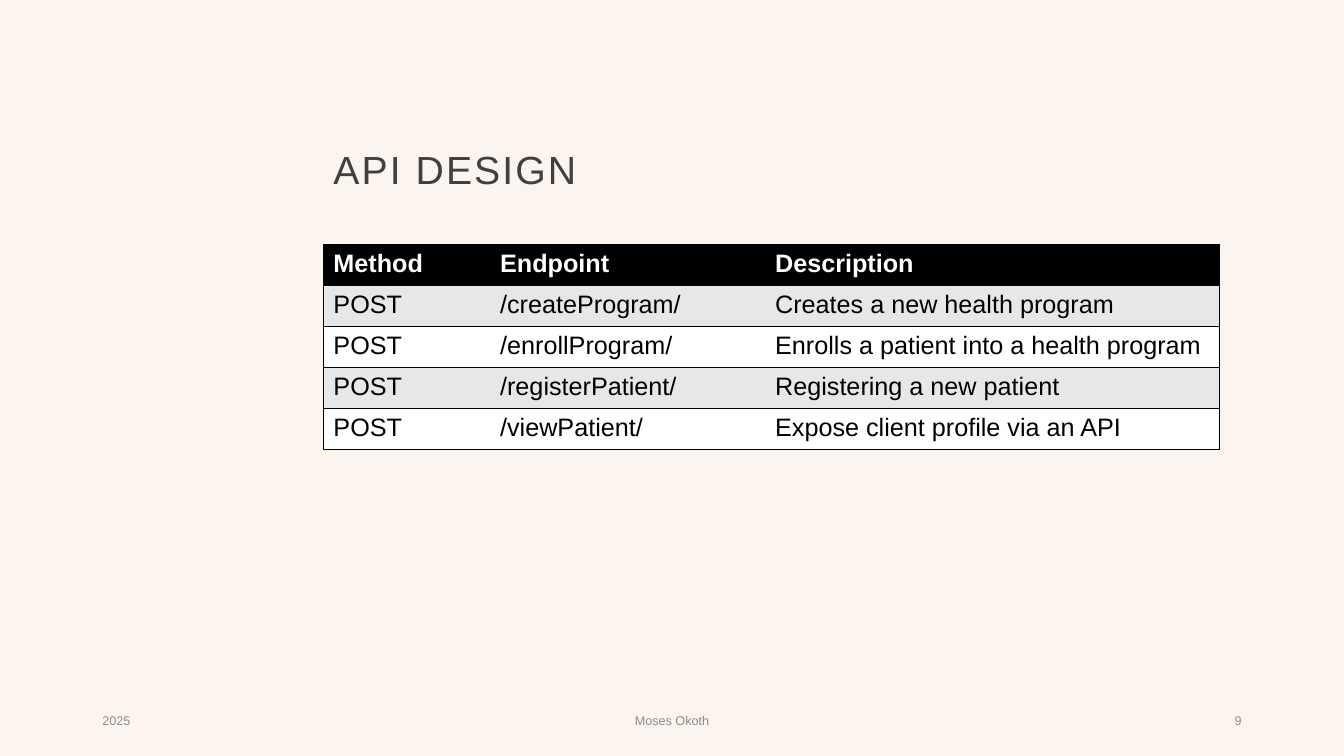
import dataclasses
import typing

import lxml.etree
import pptx
import pptx.dml.color
import pptx.enum.text
import pptx.oxml.ns
import pptx.util

Cm = pptx.util.Cm
Align = pptx.enum.text.PP_ALIGN
Anchor = pptx.enum.text.MSO_ANCHOR

BLACK, WHITE, BAND = "000000", "FFFFFF", "E7E7E7"
PAPER, INK, GRAY = "FBF4EF", "404040", "8C8C8C"
PLAIN = "{2D5ABB26-0587-4C30-8999-92F81FD0307C}"
WIDTHS = (4.2, 6.93, 11.45)
HEIGHT = 1.03
ROWS = (
    ("Method", "Endpoint", "Description"),
    ("POST", "/createProgram/", "Creates a new health program"),
    ("POST", "/enrollProgram/", "Enrolls a patient into a health program"),
    ("POST", "/registerPatient/", "Registering a new patient"),
    ("POST", "/viewPatient/", "Expose client profile via an API"),
)


@dataclasses.dataclass
class Note:
    text: str
    left: float
    width: float
    align: Align


NOTES = (
    Note("2025", 2.33, 7.62, Align.LEFT),
    Note("Moses Okoth", 11.22, 11.43, Align.CENTER),
    Note("9", 23.92, 7.62, Align.RIGHT),
)


def color(code: str) -> pptx.dml.color.RGBColor:
    return pptx.dml.color.RGBColor.from_string(code)


def apply(item: typing.Any, values: dict[str, typing.Any]) -> None:
    for name, value in values.items():
        setattr(item, name, value)


def write(frame: typing.Any, text: str, size: float, code: str,
          align: Align = Align.LEFT, bold: bool = False) -> typing.Any:
    """Fill a text frame with one formatted run and return that run."""
    line = frame.paragraphs[0]
    line.alignment = align
    run = line.add_run()
    run.text = text
    apply(run.font, {"name": "Arial", "size": pptx.util.Pt(size), "bold": bold})
    run.font.color.rgb = color(code)
    return run


def paint(fill: typing.Any, code: str) -> None:
    fill.solid()
    fill.fore_color.rgb = color(code)


def edge(cell: typing.Any, sides: str) -> None:
    """Draw 1 pt black borders on the given sides, in the order L, R, T, B."""
    props = cell._tc.get_or_add_tcPr()
    qn = pptx.oxml.ns.qn
    for spot, side in enumerate(sides):
        line = lxml.etree.Element(qn(f"a:ln{side}"), w=str(pptx.util.Pt(1)))
        fill = lxml.etree.SubElement(line, qn("a:solidFill"))
        lxml.etree.SubElement(fill, qn("a:srgbClr"), val=BLACK)
        props.insert(spot, line)


def add_title(slide: typing.Any) -> None:
    title = slide.shapes.title
    apply(title, {"left": Cm(8.15), "top": Cm(2.49),
                  "width": Cm(23.39), "height": Cm(3.68)})
    frame = title.text_frame
    apply(frame, {"vertical_anchor": Anchor.MIDDLE, "word_wrap": True,
                  "auto_size": pptx.enum.text.MSO_AUTO_SIZE.NONE})
    run = write(frame, "API DESIGN", 28, INK)
    frame.paragraphs[0].line_spacing = 0.9
    run.font._element.set("spc", "150")


def add_note(slide: typing.Any, note: Note) -> None:
    box = slide.shapes.add_textbox(
        Cm(note.left), Cm(17.65), Cm(note.width), Cm(1.02))
    apply(box.text_frame, {"vertical_anchor": Anchor.MIDDLE, "word_wrap": True})
    write(box.text_frame, note.text, 9, GRAY, note.align)


def add_grid(slide: typing.Any) -> None:
    frame = slide.shapes.add_table(
        len(ROWS), len(WIDTHS), Cm(8.15), Cm(6.17),
        Cm(sum(WIDTHS)), Cm(HEIGHT * len(ROWS)))
    table = frame.table
    table._tbl.tblPr.find(pptx.oxml.ns.qn("a:tableStyleId")).text = PLAIN
    for column, width in zip(table.columns, WIDTHS):
        column.width = Cm(width)
    for r, texts in enumerate(ROWS):
        table.rows[r].height = Cm(HEIGHT)
        head = r == 0
        back = BLACK if head else BAND if r % 2 else WHITE
        for c, text in enumerate(texts):
            cell = table.cell(r, c)
            write(cell.text_frame, text, 18, WHITE if head else BLACK, bold=head)
            paint(cell.fill, back)
            left = "L" if c == 0 else ""
            right = "R" if c == len(WIDTHS) - 1 else ""
            edge(cell, left + right + "TB")


def main() -> None:
    deck = pptx.Presentation()
    apply(deck, {"slide_width": Cm(33.87), "slide_height": Cm(19.05)})
    slide = deck.slides.add_slide(deck.slide_layouts[5])
    paint(slide.background.fill, PAPER)
    add_title(slide)
    for note in NOTES:
        add_note(slide, note)
    add_grid(slide)
    deck.save("out.pptx")


if __name__ == "__main__":
    main()
